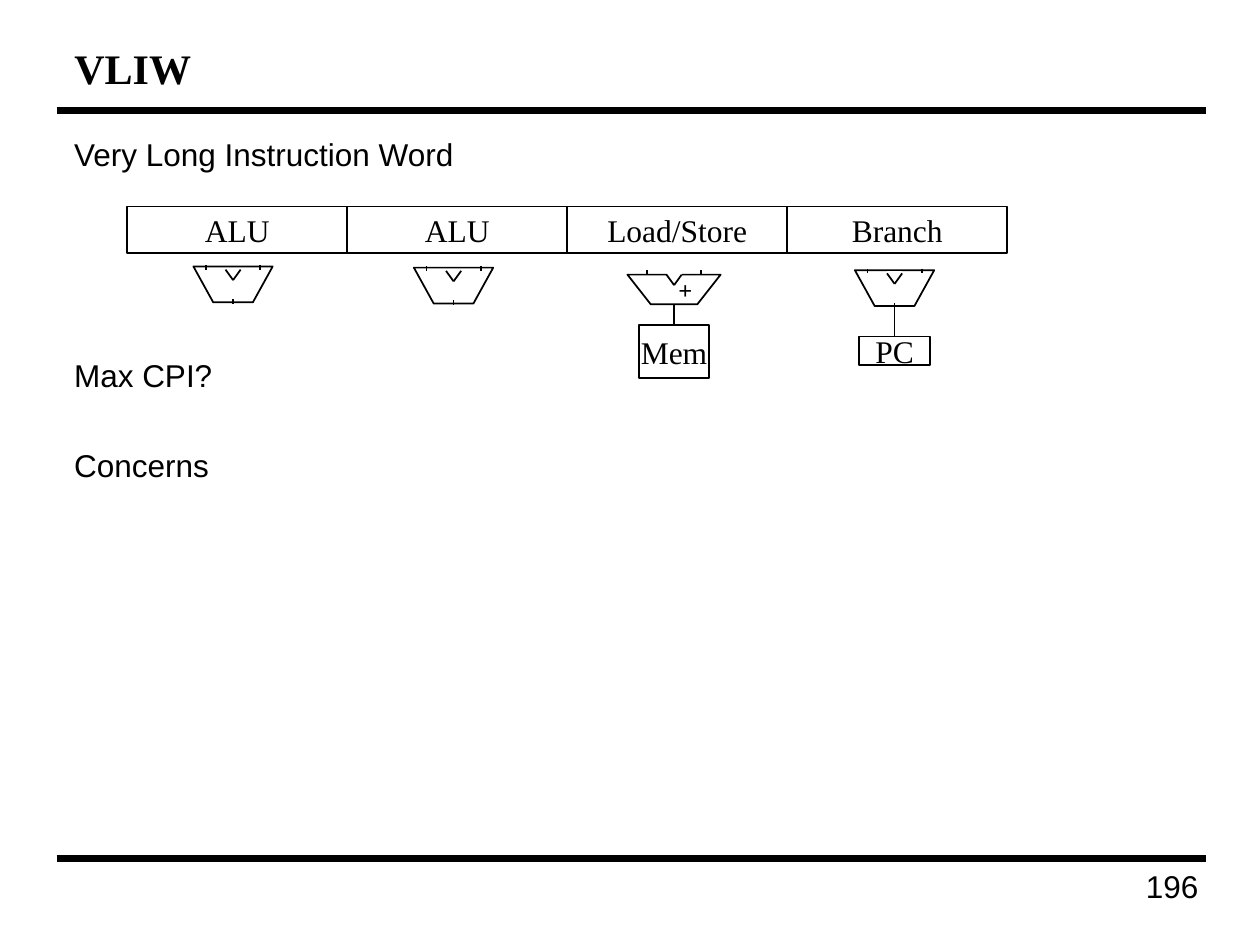
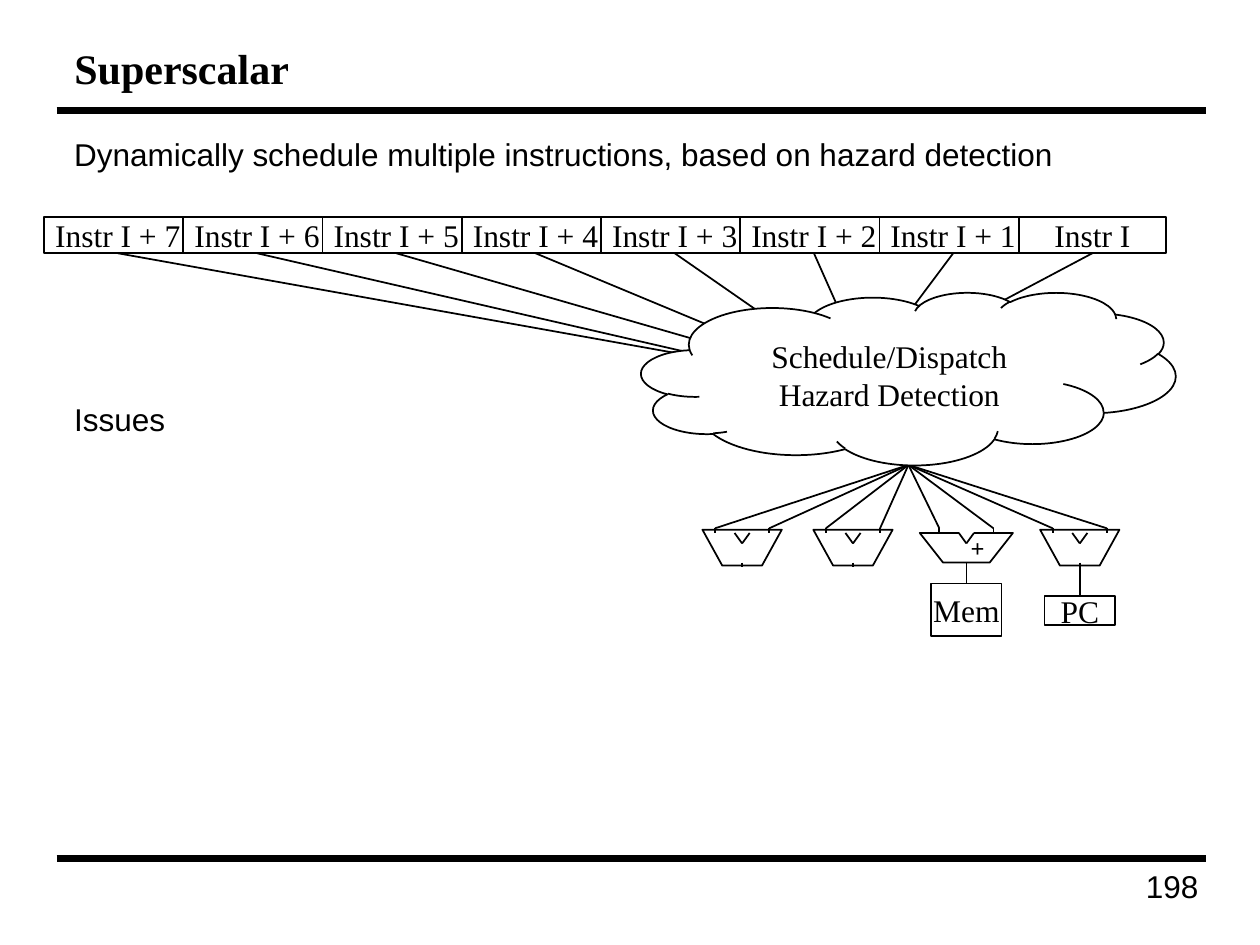
from lxml.etree import SubElement
from pptx import Presentation
from pptx.dml.color import RGBColor
from pptx.enum.shapes import MSO_CONNECTOR, MSO_SHAPE
from pptx.enum.text import MSO_ANCHOR, MSO_AUTO_SIZE, PP_ALIGN
from pptx.oxml.ns import qn
from pptx.util import Emu, Inches, Pt

# The slide is a grid of 100 columns by 75 square rows
COLS, ROWS = 100, 75
CELL = Inches(0.1)
HEX = {"ink": "000000", "paper": "FFFFFF"}
SANS, SERIF = "Arial", "Times New Roman"

# Arithmetic unit, in cells around its centre line
TICK = 2.15    # from the centre to each input
LEAD = 0.37    # height of an input
MID = 1.17     # from the top to the middle
STUB = 2.7     # from the top to the end of the output


def grid(*cells):
    return [Emu(round(n * CELL)) for n in cells]


def tint(name):
    return RGBColor.from_string(HEX[name])


def write(frame, lines, font=SERIF, size=18, bold=False,
          align=PP_ALIGN.CENTER, anchor=MSO_ANCHOR.MIDDLE, wrap=False, gaps=()):
    """Fill a text frame, one paragraph a line; gaps are points before each."""
    frame.auto_size = MSO_AUTO_SIZE.NONE
    frame.word_wrap = wrap
    frame.vertical_anchor = anchor
    for i, line in enumerate(lines):
        para = frame.paragraphs[0] if i == 0 else frame.add_paragraph()
        para.alignment = align
        if gaps:
            para.space_before = Pt(gaps[i])
        run = para.add_run()
        run.text = line
        run.font.name, run.font.size, run.font.bold = font, Pt(size), bold
        run.font.color.rgb = tint("ink")


def pad(frame, left=0, top=0, right=0, bottom=0):
    sides = grid(left, top, right, bottom)
    (frame.margin_left, frame.margin_top,
     frame.margin_right, frame.margin_bottom) = sides


def paint(shape):
    shape.shadow.inherit = False
    shape.fill.solid()
    shape.fill.fore_color.rgb = tint("paper")
    shape.line.color.rgb = tint("ink")
    shape.line.width = Pt(1)
    pad(shape.text_frame)
    return shape


def rule(slide, start, end, width=1, color="ink"):
    line = slide.shapes.add_connector(
        MSO_CONNECTOR.STRAIGHT, *grid(*start, *end))
    line.line.color.rgb = tint(color)
    line.line.width = Pt(width)
    SubElement(line.element.spPr, qn("a:effectLst"))
    return line


def box(slide, area, lines, kind=MSO_SHAPE.RECTANGLE):
    shape = paint(slide.shapes.add_shape(kind, *grid(*area)))
    write(shape.text_frame, lines)
    return shape


def note(slide, area, lines, **style):
    text = slide.shapes.add_textbox(*grid(*area)).text_frame
    pad(text, 1, 0.5, 1, 0.5)
    write(text, lines, SANS, anchor=MSO_ANCHOR.TOP, wrap=True, **style)


def frame(deck, name, page):
    """Add a slide with its title, two bars and page number."""
    slide = deck.slides.add_slide(deck.slide_layouts[5])
    title = slide.shapes.title
    title.left, title.top, title.width, title.height = grid(4.9, 2.5, 90.4, 5.8)
    pad(title.text_frame, 1, 0.5, 1, 0.5)
    write(title.text_frame, [name], size=24, bold=True,
          align=PP_ALIGN.LEFT, wrap=True)
    for row in (8.8, 68.1):
        rule(slide, (4.5, row), (95.7, row), 4)
    note(slide, (75.6, 68.3, 20.5, 4.9), [page], align=PP_ALIGN.RIGHT)
    return slide


def body(slide, lines, gaps):
    note(slide, (4.9, 10.2, 90.4, 57.3), lines, align=PP_ALIGN.LEFT, gaps=gaps)


def unit(slide, mid, top, sign=""):
    """Trapezoid with a notch, two inputs and an output."""
    wide, high = (7.4, 2.35) if sign else (6.3, 2.85)
    left, right = mid - wide / 2, mid + wide / 2
    roof, base = top + MID - high / 2, top + MID + high / 2
    pen = slide.shapes.build_freeform(*grid(left, roof))
    pen.add_line_segments([grid(left + wide / 4, base),
                           grid(right - wide / 4, base), grid(right, roof)])
    body_shape = paint(pen.convert_to_shape())
    if sign:
        pad(body_shape.text_frame, left=1.8)
        write(body_shape.text_frame, [sign], size=14, bold=True)
    rule(slide, (mid - 0.6, top), (mid + 0.6, top), 2.25, "paper")
    for side in (-1, 1):
        rule(slide, (mid, top + 0.83), (mid + side * 0.6, top))
        tick = mid + side * TICK
        rule(slide, (tick, top - LEAD), (tick, top))
    rule(slide, (mid, top + 2.35), (mid, top + STUB))


def store(slide, mid, top, drop, high, label):
    """Box fed by the output of the unit above it."""
    cell = box(slide, (mid - 2.8, top + drop, 5.6, high), [label])
    wire = rule(slide, (mid, top + STUB), (mid, top + drop))
    wire.end_connect(cell, 0)


def units(slide, spots):
    """Two plain units, an adder with memory, and one for the counter."""
    for (mid, top), sign in zip(spots, ("", "", "+", "")):
        unit(slide, mid, top, sign)
    store(slide, *spots[2], 4, 4.2, "Mem")
    store(slide, *spots[3], 5, 2.3, "PC")


def vliw(deck):
    slide = frame(deck, "VLIW", "196")
    body(slide, ["Very Long Instruction Word", "Max CPI?", "Concerns"],
         (0, 105, 29.6))
    # Instruction word with one slot per unit
    step = 17.46
    for i, slot in enumerate(("ALU", "ALU", "Load/Store", "Branch")):
        box(slide, (10.1 + i * step, 16.4, step, 3.7), [slot])
    tops = (21.4, 21.5, 21.8, 21.7)
    units(slide, [(18.5 + i * 17.5, top) for i, top in enumerate(tops)])


def scalar(deck):
    slide = frame(deck, "Superscalar", "198")
    body(slide, ["Dynamically schedule multiple instructions, "
                 "based on hazard detection", "Issues"], (0, 130.2))
    top = 42.3
    mids = (58.9, 67.7, 76.7, 85.7)
    units(slide, [(mid, top) for mid in mids])

    # Queue of instructions, each led to the scheduler
    goals = ((67.5, 30.5), (67.8, 31), (67.5, 30.5), (67.5, 30.5),
             (67.8, 30), (69, 30), (68.4, 29.8), (68.4, 29.8))
    last = len(goals) - 1
    for i, goal in enumerate(goals):
        left = 3.5 + i * 11.05
        label = f"Instr I + {last - i}" if i < last else "Instr I"
        cell = box(slide, (left, 17.2, 11.7, 2.9), [label])
        rule(slide, (left + 5.85, 20.1), goal).begin_connect(cell, 2)

    # Fan from the scheduler to the inputs of the units
    for mid in mids:
        for side in (-1, 1):
            rule(slide, (72.1, 36.9), (mid + side * TICK, top - LEAD))
    box(slide, (50.9, 23.2, 42.4, 13.7),
        ["Schedule/Dispatch", "Hazard Detection"], MSO_SHAPE.CLOUD)


def main():
    deck = Presentation()
    deck.slide_width, deck.slide_height = grid(COLS, ROWS)
    vliw(deck)
    scalar(deck)
    deck.save("out.pptx")


if __name__ == "__main__":
    main()
